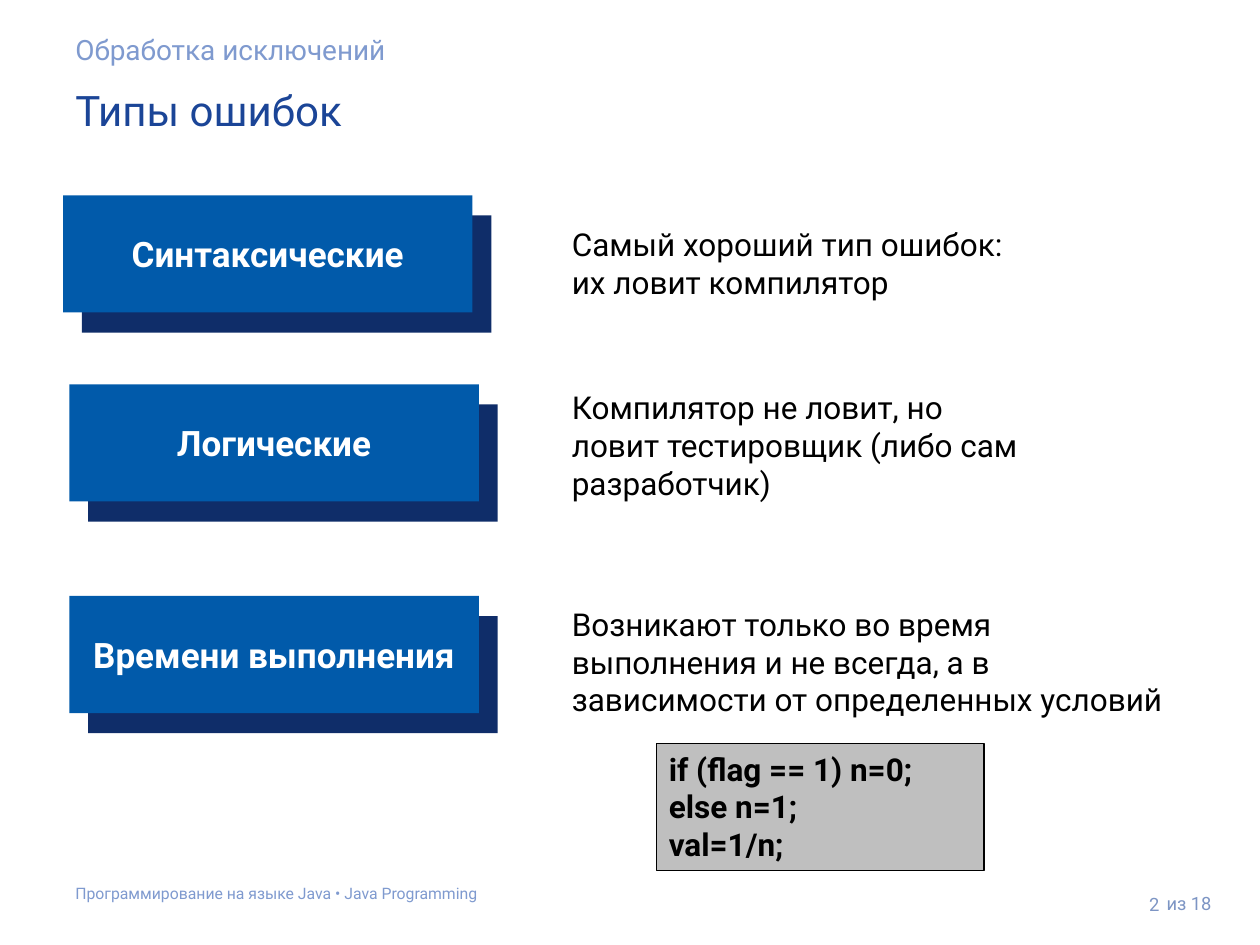
from pptx import Presentation, util as u
from pptx.dml.color import RGBColor
from pptx.enum import shapes, text

HUES = {"title": "1B4597", "pale": "7F9ACF", "page": "7D95C4", "navy": "0F2D69",
        "blue": "015AAA", "grey": "BFBFBF", "white": "FFFFFF", "black": "000000"}
COLS, ROWS = 100, 75
LEFT, MID, RIGHT = text.PP_ALIGN.LEFT, text.PP_ALIGN.CENTER, text.PP_ALIGN.RIGHT
TOP, HALF = text.MSO_ANCHOR.TOP, text.MSO_ANCHOR.MIDDLE


class Deck:
    """Draws styled elements on one slide, placed by columns and rows."""

    def __init__(self):
        self.prs = Presentation()
        self.prs.slide_width, self.prs.slide_height = u.Inches(10), u.Inches(7.5)
        self.slide = self.prs.slides.add_slide(self.prs.slide_layouts[6])
        self.font = "Roboto"

    def place(self, col, row, wide, high):
        dx, dy = self.prs.slide_width / COLS, self.prs.slide_height / ROWS
        return [int(n) for n in (col * dx, row * dy, wide * dx, high * dy)]

    def fill_in(self, shape, words, size, hue, bold=False, align=LEFT, anchor=TOP, pad=0.05):
        frame = shape.text_frame
        look = {"word_wrap": True, "vertical_anchor": anchor,
                "margin_left": u.Inches(0.1), "margin_right": u.Inches(0.1),
                "margin_top": u.Inches(pad), "margin_bottom": u.Inches(pad)}
        for key, val in look.items():
            setattr(frame, key, val)
        frame.text = words
        style = {"name": self.font, "size": u.Pt(size), "bold": bold}
        for par in frame.paragraphs:
            par.alignment = align
            font = par.runs[0].font
            for key, val in style.items():
                setattr(font, key, val)
            font.color.rgb = RGBColor.from_string(HUES[hue])

    def label(self, area, words, size, hue, **look):
        box = self.slide.shapes.add_textbox(*self.place(*area))
        self.fill_in(box, words, size, hue, **look)

    def block(self, area, fill, line=None):
        box = self.slide.shapes.add_shape(shapes.MSO_SHAPE.RECTANGLE, *self.place(*area))
        box.shadow.inherit = False
        box.fill.solid()
        box.fill.fore_color.rgb = RGBColor.from_string(HUES[fill])
        if line:
            box.line.color.rgb = RGBColor.from_string(HUES[line])
            box.line.width = u.Pt(0.75)
        else:
            box.line.fill.background()
        return box

    def card(self, col, row, words):
        wide, high = 32.5, 9.3
        self.block((col + 1.5, row + 1.6, wide, high), "navy")
        front = self.block((col, row, wide, high), "blue")
        self.fill_in(front, words, 20, "white", bold=True, align=MID, anchor=HALF)

    def code(self, area, lines):
        box = self.block(area, "grey", "black")
        self.fill_in(box, "\n".join(lines), 18, "black", bold=True)


def main():
    deck = Deck()
    deck.label((5, 1.6, 91.9, 4.7), "Обработка исключений", 16, "pale", pad=0.1)
    deck.label((5, 5.7, 91.9, 6.1), "Типы ошибок", 24, "title", pad=0.1)
    kinds = [
        (5, 15.5, "Синтаксические", (17.4, 38.7, 7.1),
         "Самый хороший тип ошибок: их ловит компилятор"),
        (5.5, 30.5, "Логические", (30.3, 38.7, 10.1),
         "Компилятор не ловит, но ловит тестировщик (либо сам разработчик)"),
        (5.5, 47.3, "Времени выполнения", (47.5, 50.1, 10.1),
         "Возникают только во время выполнения и не всегда, а в зависимости "
         "от определенных условий"),
    ]
    for col, row, name, area, note in kinds:
        deck.card(col, row, name)
        deck.label((44.4, *area), note, 18, "black")
    deck.code((52.1, 59, 26, 10.1), ["if (flag == 1) n=0;", "else n=1;", "val=1/n;"])
    deck.label((5, 69.4, 90, 3.5), "Программирование на языке Java • Java Programming",
               9, "pale", pad=0.1)
    deck.label((87, 68.9, 6, 5.7), "2", 10.5, "page", align=RIGHT, anchor=HALF, pad=0.1)
    deck.label((91.6, 69.7, 6.9, 4), "из 18", 10.5, "page", anchor=HALF)
    deck.prs.save("out.pptx")


if __name__ == "__main__":
    main()
